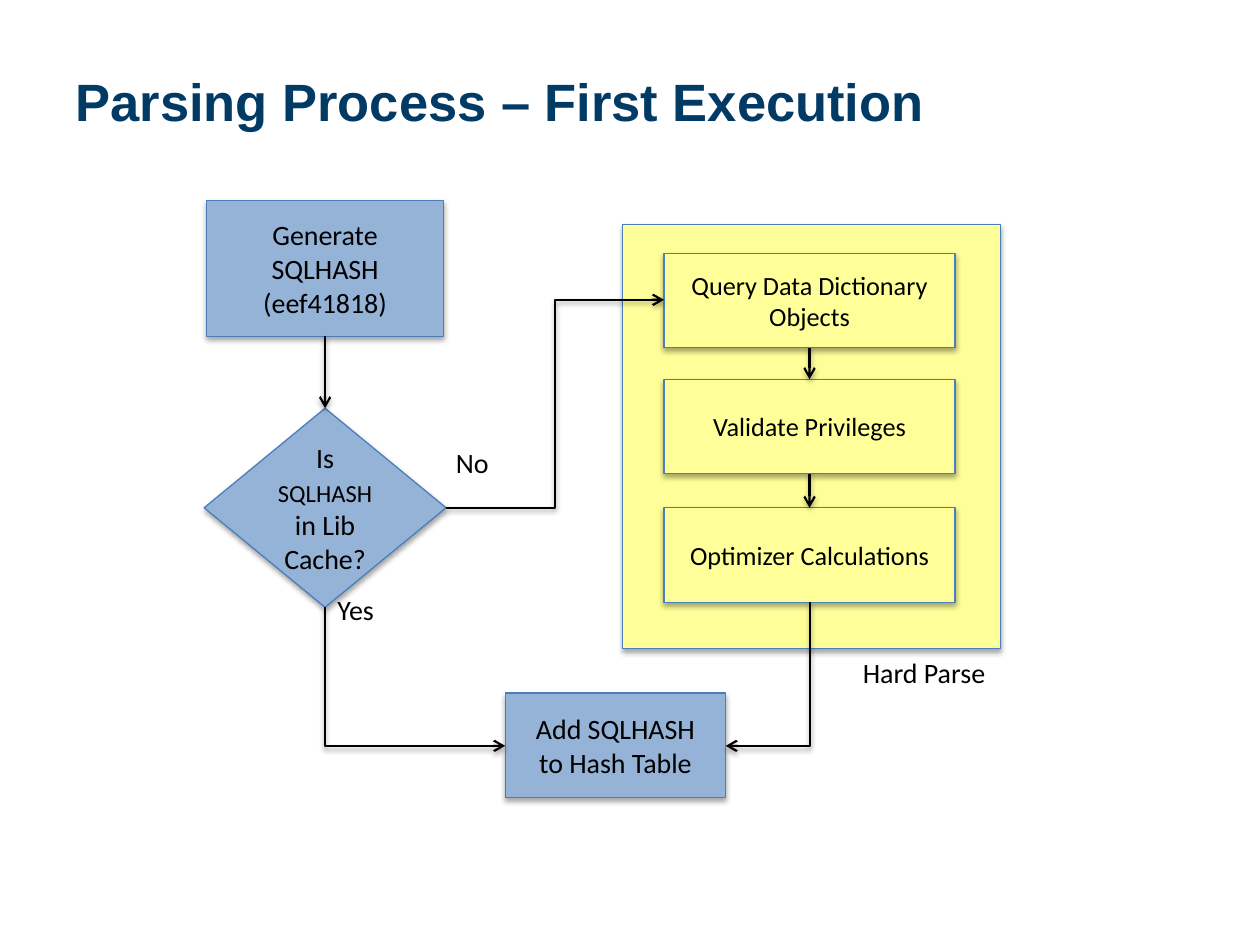
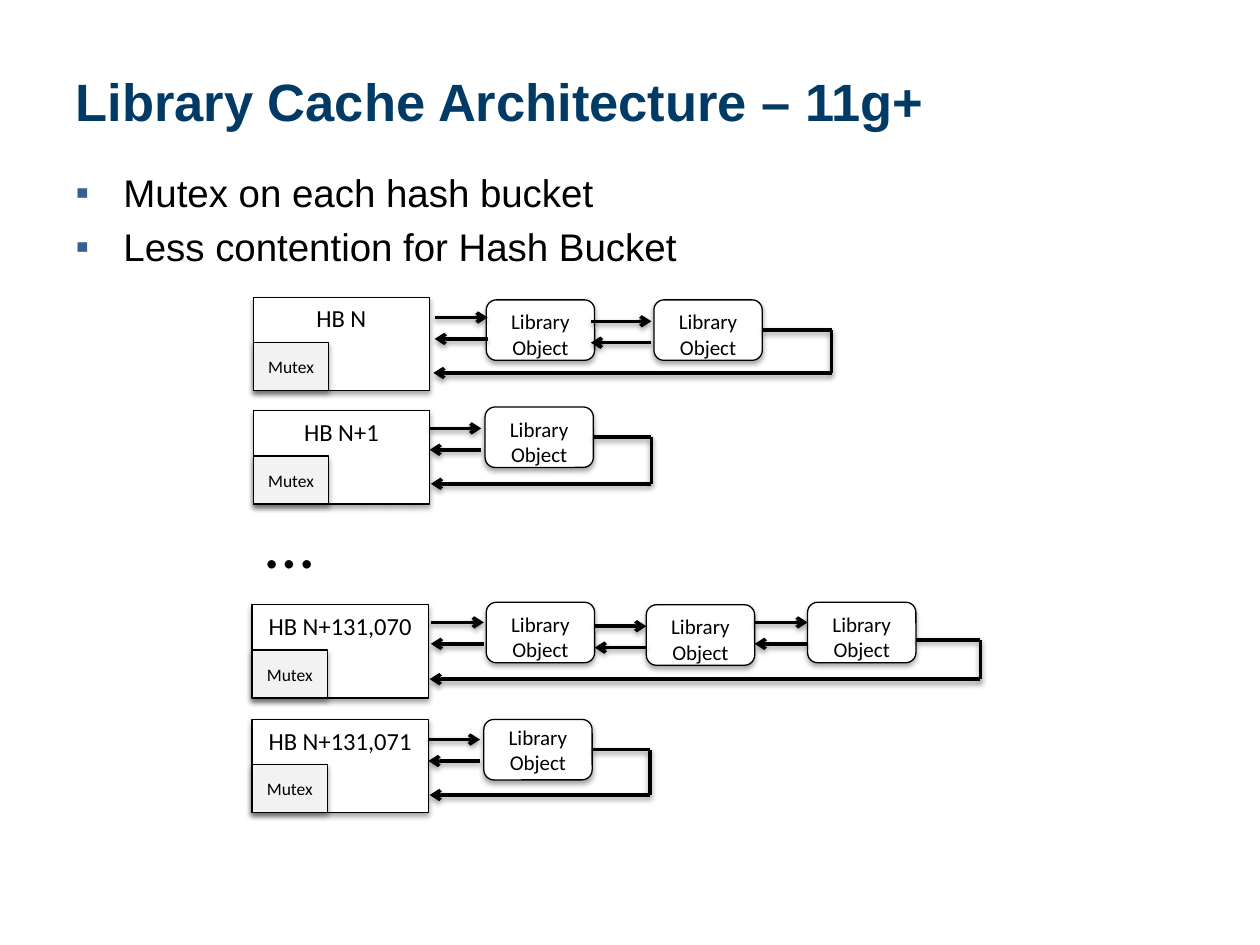
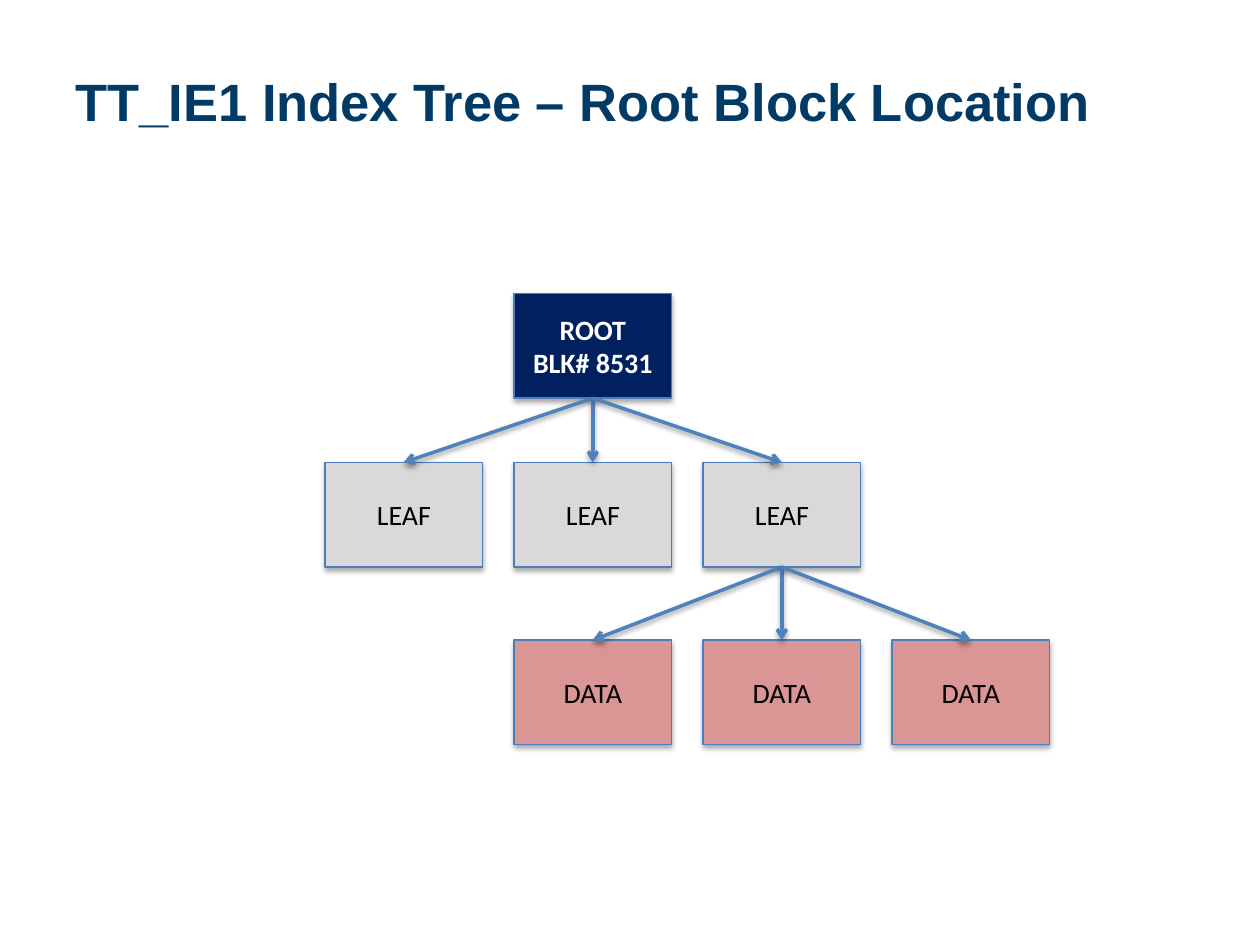
from lxml import etree
from pptx import Presentation
from pptx.dml.color import RGBColor
from pptx.enum.shapes import MSO_CONNECTOR, MSO_SHAPE
from pptx.enum.text import MSO_ANCHOR, MSO_AUTO_SIZE, PP_ALIGN
from pptx.oxml.ns import qn
from pptx.util import Inches, Pt

RECT = MSO_SHAPE.RECTANGLE
ROUNDED = MSO_SHAPE.ROUNDED_RECTANGLE
DECISION = MSO_SHAPE.FLOWCHART_DECISION
STRAIGHT = MSO_CONNECTOR.STRAIGHT
ELBOW = MSO_CONNECTOR.ELBOW
TOP, MIDDLE, BOTTOM = MSO_ANCHOR.TOP, MSO_ANCHOR.MIDDLE, MSO_ANCHOR.BOTTOM
LEFT, CENTER = PP_ALIGN.LEFT, PP_ALIGN.CENTER
NO_FIT = MSO_AUTO_SIZE.NONE
SITE_TOP, SITE_BOTTOM, SITE_RIGHT = 0, 2, 3
TITLE_AND_BODY, TITLE_ONLY = 1, 5

COLORS = {
    "title": "003A65", "bullet": "376092", "black": "000000", "white": "FFFFFF",
    "step": "95B3D7", "parse": "FFFF99", "outline": "4B7EBC", "mutex": "F2F2F2",
    "root": "002060", "leaf": "D9D9D9", "data": "D99694", "branch": "4F81BD",
}


def color(name):
    return RGBColor.from_string(COLORS[name])


class Deck:
    """Holds the shared style and draws elements on the current slide."""

    def __init__(self):
        self.deck = Presentation()
        self.deck.slide_width, self.deck.slide_height = Inches(10), Inches(7.5)
        self.page = None

    def slide(self, title, layout=TITLE_ONLY):
        self.page = self.deck.slides.add_slide(self.deck.slide_layouts[layout])
        box = self.page.shapes.title
        self.place(box, 0.5, 0.3, 9.01, 0.99)
        box.text_frame.text = title
        self.format_text(box, 30, "title", True, "Arial", LEFT)

    def place(self, box, left, top, width, height):
        box.left, box.top = Inches(left), Inches(top)
        box.width, box.height = Inches(width), Inches(height)

    def format_text(self, box, size, ink="black", bold=False, face="Calibri",
                    align=CENTER, anchor=MIDDLE, wrap=True):
        frame = box.text_frame
        frame.word_wrap = wrap
        frame.auto_size = NO_FIT
        frame.vertical_anchor = anchor
        for para in frame.paragraphs:
            para.alignment = align
            font = para.font
            font.size, font.bold, font.name = Pt(size), bold, face
            font.color.rgb = color(ink)

    def bullets(self, lines):
        body = self.page.placeholders[1]
        self.place(body, 0.5, 1.29, 9.01, 5.63)
        body.text_frame.text = "\n".join(lines)
        for index, para in enumerate(body.text_frame.paragraphs):
            para.space_before = Pt(4.4 if index else 0)
            props = para._p.get_or_add_pPr()
            props.set("marL", str(Inches(0.38)))
            props.set("indent", str(-Inches(0.38)))
            tint = etree.SubElement(props, qn("a:buClr"))
            etree.SubElement(tint, qn("a:srgbClr"), val=COLORS["bullet"])
            etree.SubElement(props, qn("a:buFont"), typeface="Arial")
            etree.SubElement(props, qn("a:buChar"), char="▪")
        self.format_text(body, 22, face="Arial", align=LEFT, anchor=TOP)

    def shadow(self, effects, opacity, distance):
        drop = etree.SubElement(effects, qn("a:outerShdw"), blurRad=str(Pt(3.1)),
                                dist=str(Pt(distance)), dir="5400000", rotWithShape="0")
        tint = etree.SubElement(drop, qn("a:srgbClr"), val=COLORS["black"])
        etree.SubElement(tint, qn("a:alpha"), val=str(opacity * 1000))

    def shape(self, kind, left, top, width, height, fill, outline="outline", text="",
              size=16, margins=None, **style):
        box = self.page.shapes.add_shape(
            kind, Inches(left), Inches(top), Inches(width), Inches(height))
        box.fill.solid()
        box.fill.fore_color.rgb = color(fill)
        box.line.color.rgb = color(outline)
        box.line.width = Pt(0.75)
        box.shadow.inherit = False
        self.shadow(box._element.spPr.find(qn("a:effectLst")), 35, 1.8)
        frame = box.text_frame
        if margins:
            frame.margin_left = frame.margin_right = Inches(margins[0])
            frame.margin_top = frame.margin_bottom = Inches(margins[1])
        if text:
            frame.text = text
            self.format_text(box, size, **style)
        return box

    def label(self, text, left, top, width, height=0.37, size=16, anchor=TOP, wrap=False):
        box = self.page.shapes.add_textbox(
            Inches(left), Inches(top), Inches(width), Inches(height))
        box.text_frame.text = text
        self.format_text(box, size, align=LEFT, anchor=anchor, wrap=wrap)

    def line(self, start=(0, 0), end=(0, 0), ink="black", width=2, arrow=True, kind=STRAIGHT):
        link = self.page.shapes.add_connector(kind, *map(Inches, (*start, *end)))
        link.line.color.rgb = color(ink)
        link.line.width = Pt(width)
        props = link._element.spPr
        if arrow:
            etree.SubElement(props.find(qn("a:ln")), qn("a:tailEnd"), type="arrow")
        self.shadow(etree.SubElement(props, qn("a:effectLst")), 38, 1.6)
        return link

    def join(self, upper, lower, **style):
        link = self.line(**style)
        link.begin_connect(upper, SITE_BOTTOM)
        link.end_connect(lower, SITE_TOP)

    def corner(self, start, end, width):
        across, down = end[0] - start[0], end[1] - start[1]
        middle_x, middle_y = (start[0] + end[0]) / 2, (start[1] + end[1]) / 2
        half = -down / 2 if across > 0 else down / 2
        link = self.line((middle_x - half, middle_y - abs(across) / 2),
                         (middle_x + half, middle_y + abs(across) / 2),
                         width=width, kind=ELBOW)
        props = link._element.spPr
        props.find(qn("a:prstGeom")).set("prst", "bentConnector2")
        props.find(qn("a:xfrm")).set("rot", str((270 if across > 0 else 90) * 60000))


def parsing_process(deck):
    deck.slide("Parsing Process – First Execution")
    inset = (0.1, 0.1)
    generate = deck.shape(RECT, 1.64, 1.59, 1.88, 1.08, "step",
                          text="Generate SQLHASH\n(eef41818)", margins=inset)
    decision = deck.shape(DECISION, 1.62, 3.24, 1.92, 1.58, "step",
                          text="Is ", margins=inset)
    question = decision.text_frame.paragraphs[0]
    span = question.add_run()
    span.text = "SQLHASH"
    span.font.size = Pt(14)
    question.add_run().text = " in Lib Cache?"
    deck.label("No", 3.52, 3.49, 0.47)
    deck.label("Yes", 2.58, 4.65, 0.49)
    deck.shape(RECT, 4.01, 5.5, 1.75, 0.83, "step",
               text="Add SQLHASH\nto Hash Table", margins=inset)
    deck.label("Hard Parse", 6.75, 5.15, 1.19)
    deck.shape(RECT, 4.94, 1.78, 3, 3.37, "parse")
    steps = [
        deck.shape(RECT, 5.27, top, 2.31, 0.75, "parse", text=text, size=15, margins=inset)
        for top, text in ((2.01, "Query Data Dictionary Objects"),
                          (3.01, "Validate Privileges"),
                          (4.03, "Optimizer Calculations"))
    ]
    for upper, lower in [(generate, decision), *zip(steps, steps[1:])]:
        deck.join(upper, lower, width=1.25)
    deck.corner((2.58, 4.82), (4.01, 5.92), 1.25)
    deck.corner((6.43, 4.78), (5.76, 5.92), 1.25)
    deck.line((3.54, 4.03), (5.27, 2.38), width=1.25, kind=ELBOW)


def hash_bucket(deck, name, left, top, objects, arrows, loop, anchor=TOP):
    deck.shape(RECT, left, top, 1.4, 0.74, "white", "black", name, 14, anchor=TOP)
    deck.shape(RECT, left, top + 0.36, 0.6, 0.38, "mutex", "black", "Mutex", 10)
    for object_left, object_top in objects:
        last = deck.shape(ROUNDED, object_left, object_top, 0.86, 0.48, "white", "black",
                          "Library Object", 12, anchor=anchor)
    for start, end, y in arrows:
        deck.line((start, y), (end, y))
        deck.line((end, y + 0.17), (start, y + 0.17))
    right, exit_y, return_y, return_x = loop
    way_out = deck.line((object_left + 0.86, exit_y), (right, exit_y), arrow=False)
    if abs(exit_y - object_top - 0.24) < 0.01:
        way_out.begin_connect(last, SITE_RIGHT)
    deck.line((right, exit_y), (right, return_y), arrow=False)
    deck.line((right, return_y), (return_x, return_y))


def library_cache(deck):
    deck.slide("Library Cache Architecture – 11g+", TITLE_AND_BODY)
    deck.bullets(["Mutex on each hash bucket", "Less contention for Hash Bucket"])
    hash_bucket(deck, "HB N", 2.01, 2.36, [(3.86, 2.38), (5.19, 2.38)],
                [(3.45, 3.87, 2.52), (4.69, 5.17, 2.55)], (6.6, 2.62, 2.96, 3.44))
    hash_bucket(deck, "HB N+1", 2.01, 3.26, [(3.85, 3.23)],
                [(3.41, 3.82, 3.4)], (5.17, 3.47, 3.84, 3.42))
    hash_bucket(deck, "HB N+131,070", 2, 4.8, [(3.86, 4.78), (5.13, 4.8), (6.41, 4.78)],
                [(3.42, 3.84, 4.94), (4.72, 5.13, 4.97), (5.99, 6.41, 4.94)],
                (7.78, 5.08, 5.39, 3.41))
    hash_bucket(deck, "HB N+131,071", 2, 5.71, [(3.84, 5.71)],
                [(3.4, 3.81, 5.87)], (5.16, 5.95, 6.31, 3.41), MIDDLE)
    deck.label("…", 2.01, 4.21, 1.4, 0.46, 40, BOTTOM, True)


def index_tree(deck):
    deck.slide("TT_IE1 Index Tree – Root Block Location")

    def block(column, top, fill, text, **style):
        return deck.shape(RECT, 2.58 + 1.5 * column, top, 1.25, 0.83, fill,
                          text=text, margins=(0, 0.05), **style)

    root = block(1, 2.33, "root", "ROOT\nBLK# 8531", ink="white", bold=True)
    leaves = [block(column, 3.67, "leaf", "LEAF") for column in range(3)]
    data = [block(column, 5.08, "data", "DATA") for column in range(1, 4)]
    for parent, children in ((root, leaves), (leaves[-1], data)):
        for child in children:
            deck.join(parent, child, ink="branch")


def main():
    deck = Deck()
    parsing_process(deck)
    library_cache(deck)
    index_tree(deck)
    deck.deck.save("out.pptx")


if __name__ == "__main__":
    main()
